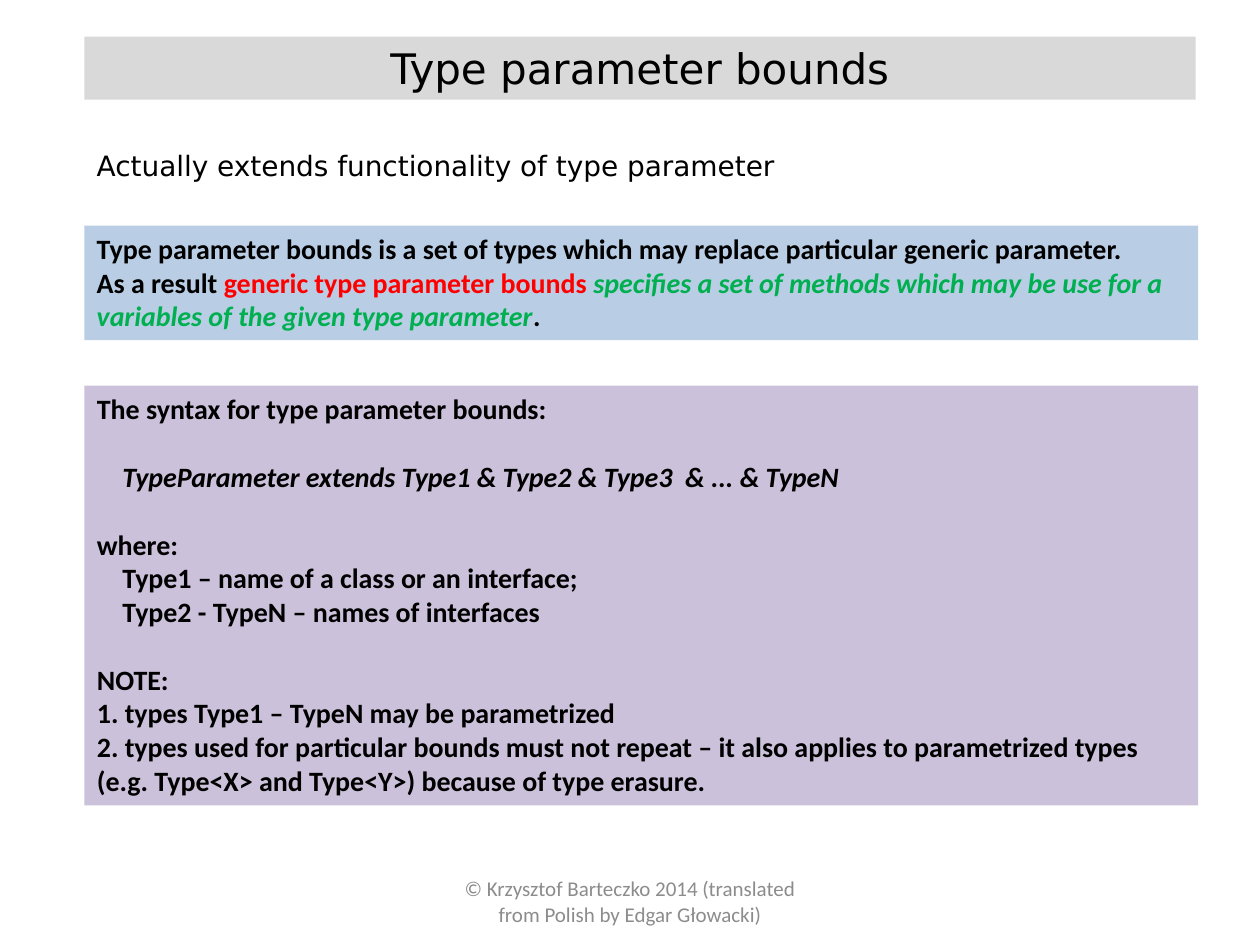
from dataclasses import dataclass

from pptx import Presentation
from pptx.dml.color import RGBColor
from pptx.enum.text import MSO_ANCHOR as Anchor, MSO_AUTO_SIZE as AutoSize, PP_ALIGN as Align
from pptx.oxml.xmlchemy import OxmlElement
from pptx.util import Pt

COLORS = {
    "black": "000000", "grey": "8C8C8C", "red": "FF0000", "green": "00B050",
    "title": "D9D9D9", "definition": "B9CDE5", "syntax": "CCC1DA",
}
LEFT, WIDTH = 48.2, 636.5
LINE = 19.5  # height of one 16 pt line
INDENT = 14.5


@dataclass
class Span:
    text: str
    color: str = "black"
    italic: bool = False


@dataclass
class Para:
    spans: list[Span]
    before: float = 0
    indent: float = 0


@dataclass
class Block:
    left: float
    top: float
    width: float
    height: float
    paras: list[Para]
    font: str = "Calibri"
    size: float = 16
    bold: bool = False
    align: Align = Align.LEFT
    anchor: Anchor = Anchor.TOP
    fill: str | None = None


def line(text: str, before: float = 0, indent: float = 0,
         color: str = "black", italic: bool = False) -> Para:
    return Para([Span(text, color, italic)], before, indent)


def rgb(name: str) -> RGBColor:
    return RGBColor.from_string(COLORS[name])


def write_para(p, para: Para, block: Block) -> None:
    p.alignment = block.align
    p.space_before = Pt(para.before)
    pPr = p._p.get_or_add_pPr()
    pPr.set("marL", str(Pt(para.indent)))
    pPr.set("indent", "0")
    pPr.append(OxmlElement("a:buNone"))
    for span in para.spans:
        r = p.add_run()
        r.text = span.text
        r.font.name = block.font
        r.font.size = Pt(block.size)
        r.font.bold = block.bold
        r.font.italic = span.italic
        r.font.color.rgb = rgb(span.color)


def draw(slide, block: Block, sp=None) -> None:
    """Fill a placeholder, or a new text box if none is given."""
    box = [Pt(v) for v in (block.left, block.top, block.width, block.height)]
    if sp is None:
        sp = slide.shapes.add_textbox(*box)
    sp.left, sp.top, sp.width, sp.height = box
    if block.fill:
        sp.fill.solid()
        sp.fill.fore_color.rgb = rgb(block.fill)
    tf = sp.text_frame
    tf.word_wrap = True
    tf.auto_size = AutoSize.NONE
    tf.vertical_anchor = block.anchor
    for i, para in enumerate(block.paras):
        write_para(tf.add_paragraph() if i else tf.paragraphs[0], para, block)


title = Block(LEFT, 20.9, 635, 36, [line("Type parameter bounds")],
              font="DejaVu Sans", size=24, align=Align.CENTER, fill="title")
intro = Block(LEFT, 81.4, 635, 26.6,
              [line("Actually extends functionality of type parameter")],
              font="DejaVu Sans")
definition = Block(LEFT, 128.9, WIDTH, 65.5, [
    line("Type parameter bounds is a set of types which may replace "
         "particular generic parameter."),
    Para([
        Span("As a result "),
        Span("generic type parameter bounds ", "red"),
        Span("specifies a set of methods which may be use for a variables "
             "of the given type parameter", "green", True),
        Span("."),
    ]),
], bold=True, fill="definition")
syntax = Block(LEFT, 220.4, WIDTH, 239.8, [
    line("The syntax for type parameter bounds:"),
    line("TypeParameter extends Type1 & Type2 & Type3 \u00a0& ... & TypeN",
         LINE, INDENT, italic=True),
    line("where:", LINE),
    line("Type1 – name of a class or an interface;", indent=INDENT),
    line("Type2 - TypeN – names of interfaces", indent=INDENT),
    line("NOTE:", LINE),
    line("1. types Type1 – TypeN may be parametrized"),
    line("2. types used for particular bounds must not repeat – it also applies to "
         "parametrized types (e.g. Type<X> and Type<Y>) because of type erasure."),
], bold=True, fill="syntax")
footer = Block(246, 500.5, 228, 28.8, [
    line("© Krzysztof Barteczko 2014 (translated from Polish by Edgar Głowacki)",
         color="grey"),
], size=12, align=Align.CENTER, anchor=Anchor.MIDDLE)

prs = Presentation()
prs.slide_width, prs.slide_height = Pt(720), Pt(540)
slide = prs.slides.add_slide(prs.slide_layouts[1])

# Title and syntax rules use the layout's placeholders
draw(slide, title, slide.shapes.title)
draw(slide, syntax, slide.placeholders[1])

# Remaining text blocks
for block in (intro, definition, footer):
    draw(slide, block)

prs.save("out.pptx")
